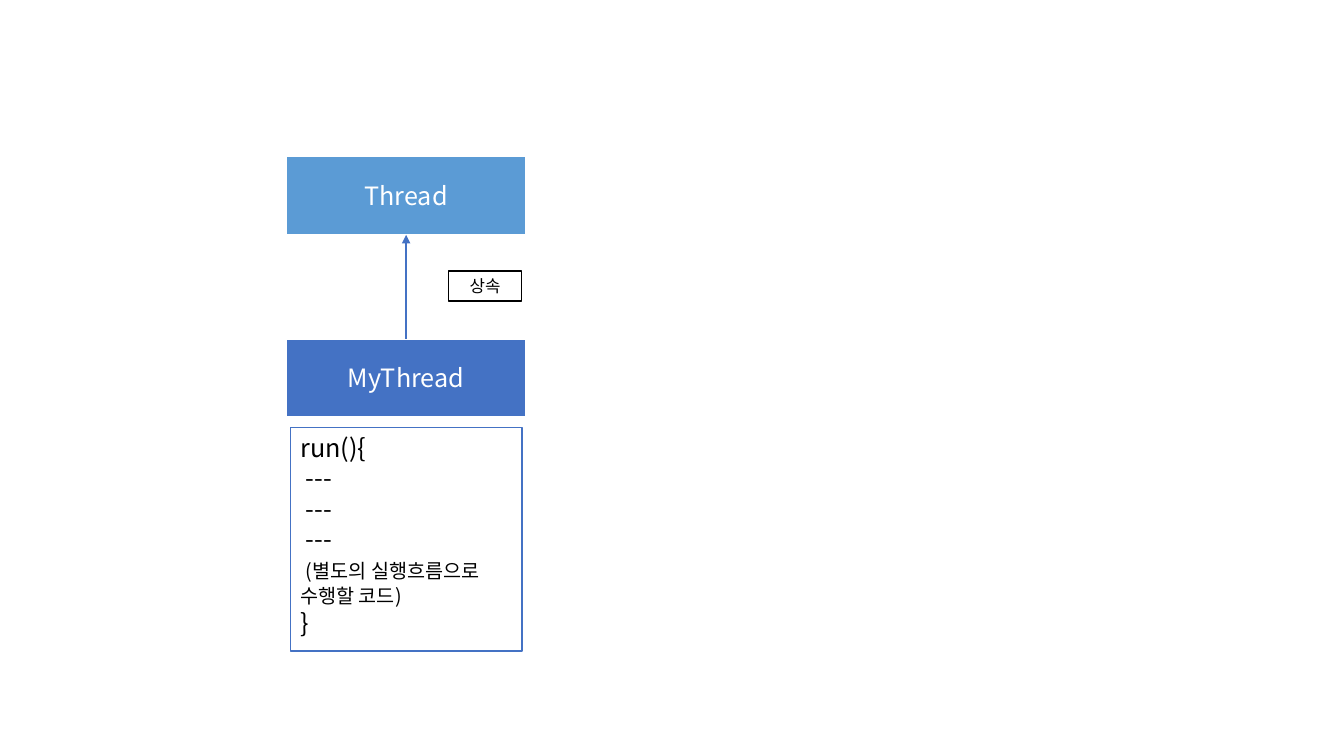
from dataclasses import dataclass

from lxml.etree import SubElement
from pptx import Presentation
from pptx.dml.color import RGBColor
from pptx.enum.shapes import MSO_CONNECTOR, MSO_SHAPE
from pptx.enum.text import MSO_ANCHOR, MSO_AUTO_SIZE, PP_ALIGN
from pptx.oxml.ns import qn
from pptx.util import Cm, Pt


@dataclass(frozen=True)
class Theme:
    font: str = "Noto Sans CJK KR"
    white: RGBColor = RGBColor(0xFF, 0xFF, 0xFF)
    black: RGBColor = RGBColor(0x00, 0x00, 0x00)
    parent: RGBColor = RGBColor(0x5B, 0x9B, 0xD5)
    child: RGBColor = RGBColor(0x44, 0x72, 0xC4)
    body_size: int = 18
    note_size: int = 14
    label_size: int = 12
    thick_line: float = 1.5
    thin_line: float = 1


THEME = Theme()

# Geometry in centimetres
CLASS_LEFT, CLASS_WIDTH, CLASS_HEIGHT = 7.21, 6.05, 1.98
PARENT_TOP, CHILD_TOP = 3.94, 8.53


def format_run(run, size, color):
    run.font.size = Pt(size)
    run.font.color.rgb = color
    run.font.name = THEME.font
    # Korean glyphs take the East Asian typeface
    SubElement(run.font._element, qn("a:ea"), typeface=THEME.font)


def add_box(slide, left, top, width, height, fill, line, line_width):
    shape = slide.shapes.add_shape(
        MSO_SHAPE.RECTANGLE, Cm(left), Cm(top), Cm(width), Cm(height))
    shape.shadow.inherit = False
    shape.fill.solid()
    shape.fill.fore_color.rgb = fill
    shape.line.color.rgb = line
    shape.line.width = Pt(line_width)
    shape.text_frame.word_wrap = True
    return shape


def write_centred(shape, text, size, color):
    shape.text_frame.text = text
    paragraph = shape.text_frame.paragraphs[0]
    paragraph.alignment = PP_ALIGN.CENTER
    format_run(paragraph.runs[0], size, color)


def add_class_box(slide, name, top, fill):
    shape = add_box(slide, CLASS_LEFT, top, CLASS_WIDTH, CLASS_HEIGHT,
                    fill, THEME.white, THEME.thick_line)
    shape.text_frame.vertical_anchor = MSO_ANCHOR.MIDDLE
    write_centred(shape, name, THEME.body_size, THEME.white)


def add_code_box(slide, lines):
    """Each line is a list of (text, size) pieces."""
    shape = add_box(slide, 7.32, 10.77, 5.84, 5.64,
                    THEME.white, THEME.child, THEME.thin_line)
    text_frame = shape.text_frame
    text_frame.vertical_anchor = MSO_ANCHOR.TOP
    text_frame.auto_size = MSO_AUTO_SIZE.SHAPE_TO_FIT_TEXT
    for index, pieces in enumerate(lines):
        paragraph = text_frame.add_paragraph() if index else text_frame.paragraphs[0]
        paragraph.alignment = PP_ALIGN.LEFT
        for text, size in pieces:
            run = paragraph.add_run()
            run.text = text
            format_run(run, size, THEME.black)


def add_label(slide, text):
    shape = add_box(slide, 11.3, 6.83, 1.85, 0.76,
                    THEME.white, THEME.black, THEME.thin_line)
    shape.text_frame.vertical_anchor = MSO_ANCHOR.TOP
    shape.text_frame.auto_size = MSO_AUTO_SIZE.SHAPE_TO_FIT_TEXT
    write_centred(shape, text, THEME.label_size, THEME.black)


def add_inheritance_arrow(slide):
    middle = Cm(CLASS_LEFT + CLASS_WIDTH / 2)
    arrow = slide.shapes.add_connector(
        MSO_CONNECTOR.STRAIGHT,
        middle, Cm(CHILD_TOP), middle, Cm(PARENT_TOP + CLASS_HEIGHT))
    arrow.line.color.rgb = THEME.child
    arrow.line.width = Pt(THEME.thick_line)
    SubElement(arrow.line._get_or_add_ln(), qn("a:tailEnd"), type="triangle")
    SubElement(arrow._element.spPr, qn("a:effectLst"))


def main():
    presentation = Presentation()
    presentation.slide_width = Cm(33.87)
    presentation.slide_height = Cm(19.05)
    slide = presentation.slides.add_slide(presentation.slide_layouts[6])

    # Classes
    add_class_box(slide, "Thread", PARENT_TOP, THEME.parent)
    add_class_box(slide, "MyThread", CHILD_TOP, THEME.child)

    # Code of the run method
    body, note = THEME.body_size, THEME.note_size
    add_code_box(slide, [
        [("run(){", body)],
        *[[(" ---", body)]] * 3,
        [(" ", body), ("(별도의 실행흐름으로 수행할 코드)", note)],
        [("}", body)],
    ])

    # Inheritance
    add_inheritance_arrow(slide)
    add_label(slide, "상속")

    presentation.save("out.pptx")


if __name__ == "__main__":
    main()
